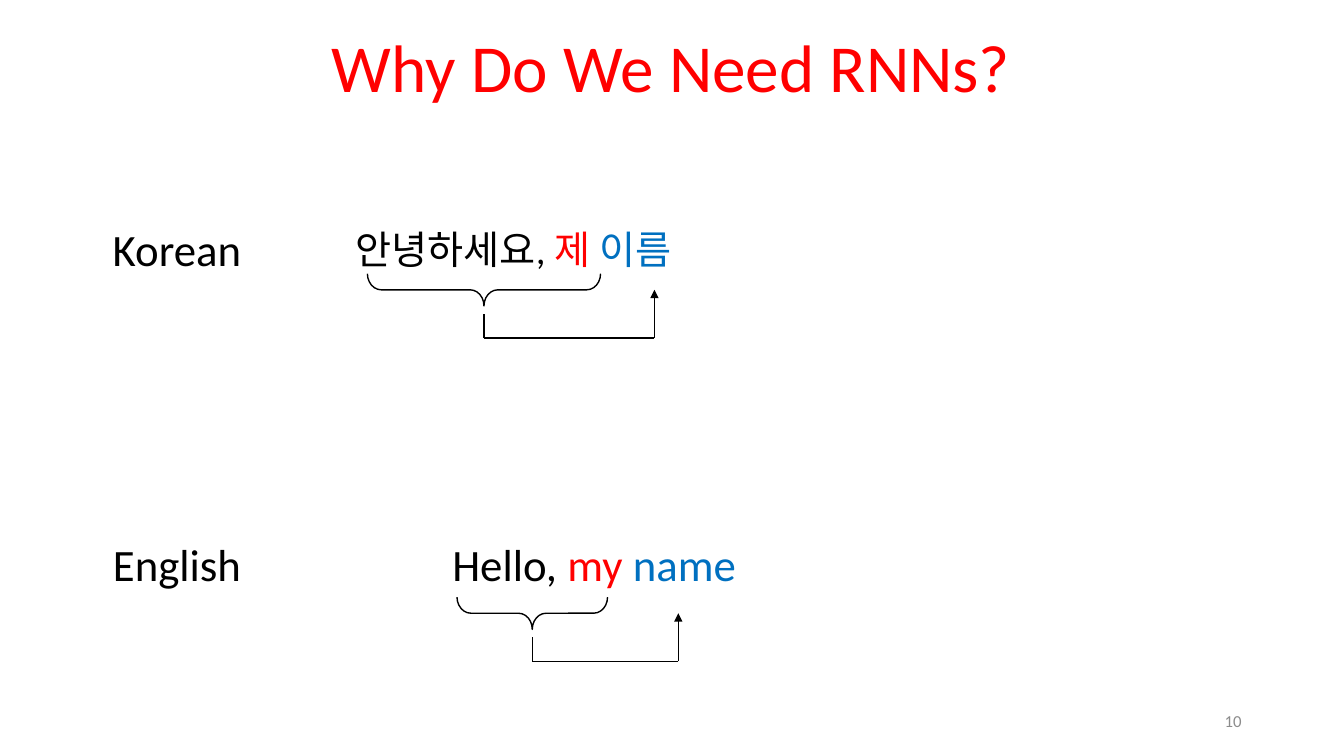
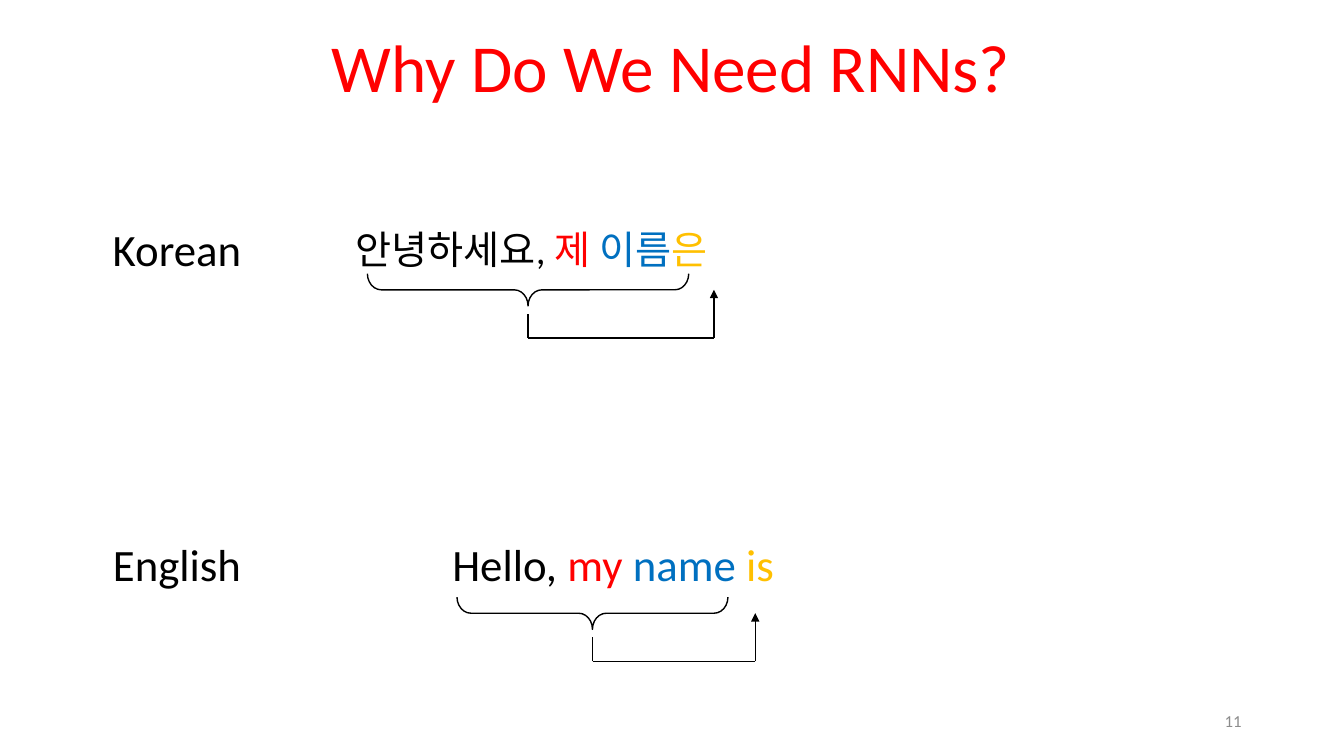
from dataclasses import dataclass

from pptx import Presentation
from pptx import util as u
from pptx.dml import color
from pptx.enum import shapes, text
from pptx.oxml import ns, xmlchemy


@dataclass(frozen=True)
class Theme:
    font: str = "Calibri"
    ink: str = "000000"
    red: str = "FF0000"
    blue: str = "0070C0"
    amber: str = "FFC000"
    grey: str = "8C8C8C"
    title_size: int = 48
    body_size: int = 32
    korean_size: int = 28
    number_size: int = 12
    line_width: int = 1


theme = Theme()
word_colours = [theme.ink, theme.red, theme.blue, theme.amber]


def write(shape, words, *, box, size, colours, align=text.PP_ALIGN.LEFT,
          anchor=text.MSO_ANCHOR.TOP, spacing=None):
    """Place a shape and fill it with one paragraph of coloured words."""
    shape.left, shape.top, shape.width, shape.height = map(u.Pt, box)
    frame = shape.text_frame
    frame.word_wrap = True
    frame.vertical_anchor = anchor
    paragraph = frame.paragraphs[0]
    paragraph.alignment = align
    paragraph.line_spacing = spacing
    for word, colour in zip(words, colours):
        run = paragraph.add_run()
        run.text = word
        run.font.name = theme.font
        run.font.size = u.Pt(size)
        run.font.color.rgb = color.RGBColor.from_string(colour)


def draw_line(slide, start, end, arrow=False):
    """Draw a thin line, with an arrowhead at its end if asked."""
    line = slide.shapes.add_connector(
        shapes.MSO_CONNECTOR.STRAIGHT, *map(u.Pt, (*start, *end)))
    line.line.width = u.Pt(theme.line_width)
    line.line.color.rgb = color.RGBColor.from_string(theme.ink)
    if arrow:
        head = xmlchemy.OxmlElement("a:tailEnd")
        head.set("type", "triangle")
        line.line._get_or_add_ln().append(head)
    properties = line._element.find(ns.qn("p:spPr"))
    properties.append(xmlchemy.OxmlElement("a:effectLst"))


# Rows shared by both slides: name, label top, sentence box, text size,
# left end of the brace and its middle height
rows = [
    ("Korean", 155, (247, 157.5, 464.5, 41), theme.korean_size, 262.5, 207),
    ("English", 380, (316, 380, 327.5, 46), theme.body_size, 326.5, 438),
]

# Each step: words per row, with the right end of the brace and the arrow's x
steps = [
    (10, [(["안녕하세요, ", "제 ", "이름"], 429, 467.5),
          (["Hello, ", "my ", "name"], 434, 484.5)]),
    (11, [(["안녕하세요, ", "제 ", "이름", "은"], 492, 510),
          (["Hello, ", "my ", "name ", "is"], 520, 539.5)]),
]

brace_depth = 23
stem_gap = 17
rail_drop = 34.5

prs = Presentation()
prs.slide_width, prs.slide_height = u.Pt(960), u.Pt(540)

for number, sentences in steps:
    slide = prs.slides.add_slide(prs.slide_layouts[5])

    # Title and slide number
    write(slide.shapes.title, ["Why Do We Need RNNs?"],
          box=(65.5, 1.5, 828, 78.5), size=theme.title_size,
          colours=[theme.red], align=text.PP_ALIGN.CENTER,
          anchor=text.MSO_ANCHOR.BOTTOM, spacing=0.9)
    write(slide.shapes.add_textbox(0, 0, 0, 0), [str(number)],
          box=(678, 500.5, 216, 29), size=theme.number_size,
          colours=[theme.grey], align=text.PP_ALIGN.RIGHT,
          anchor=text.MSO_ANCHOR.MIDDLE)

    for row, (words, context_right, next_word_x) in zip(rows, sentences):
        language, label_top, sentence_box, size, context_left, middle = row

        # Language label and sentence
        write(slide.shapes.add_textbox(0, 0, 0, 0), [language],
              box=(70, label_top, 113, 46), size=theme.body_size,
              colours=[theme.ink], align=text.PP_ALIGN.CENTER)
        write(slide.shapes.add_textbox(0, 0, 0, 0), words,
              box=sentence_box, size=size, colours=word_colours)

        # Brace under the context, turned to point down
        span = context_right - context_left
        stem_x = (context_left + context_right) / 2
        brace = slide.shapes.add_shape(
            shapes.MSO_SHAPE.LEFT_BRACE,
            u.Pt(stem_x - brace_depth / 2), u.Pt(middle - span / 2),
            u.Pt(brace_depth), u.Pt(span))
        brace.rotation = 270
        brace.adjustments[0] = 0.43
        brace.shadow.inherit = False
        brace.fill.background()
        brace.line.width = u.Pt(theme.line_width)
        brace.line.color.rgb = color.RGBColor.from_string(theme.ink)

        # Path from the context to the next word
        rail_y = middle + rail_drop
        draw_line(slide, (next_word_x, rail_y), (next_word_x, middle), arrow=True)
        draw_line(slide, (stem_x, rail_y), (next_word_x, rail_y))
        draw_line(slide, (stem_x, rail_y), (stem_x, middle + stem_gap))

prs.save("out.pptx")
